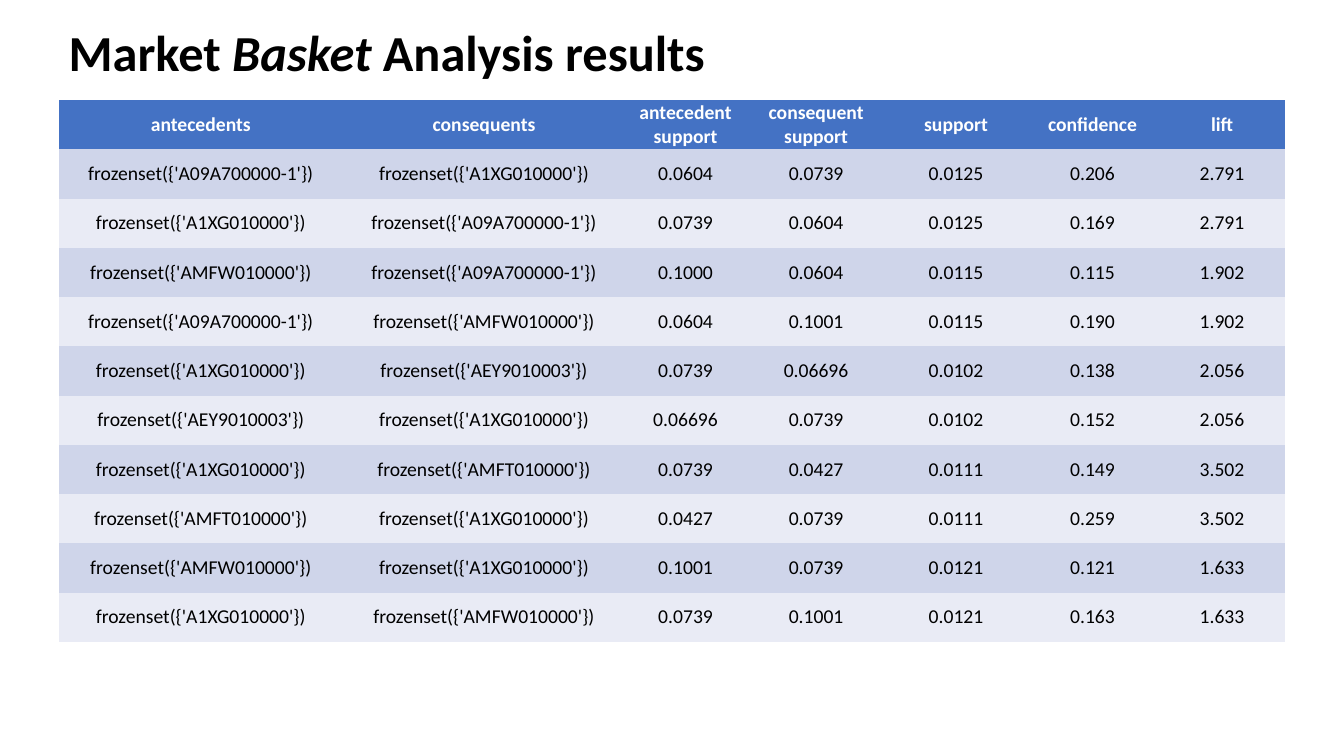
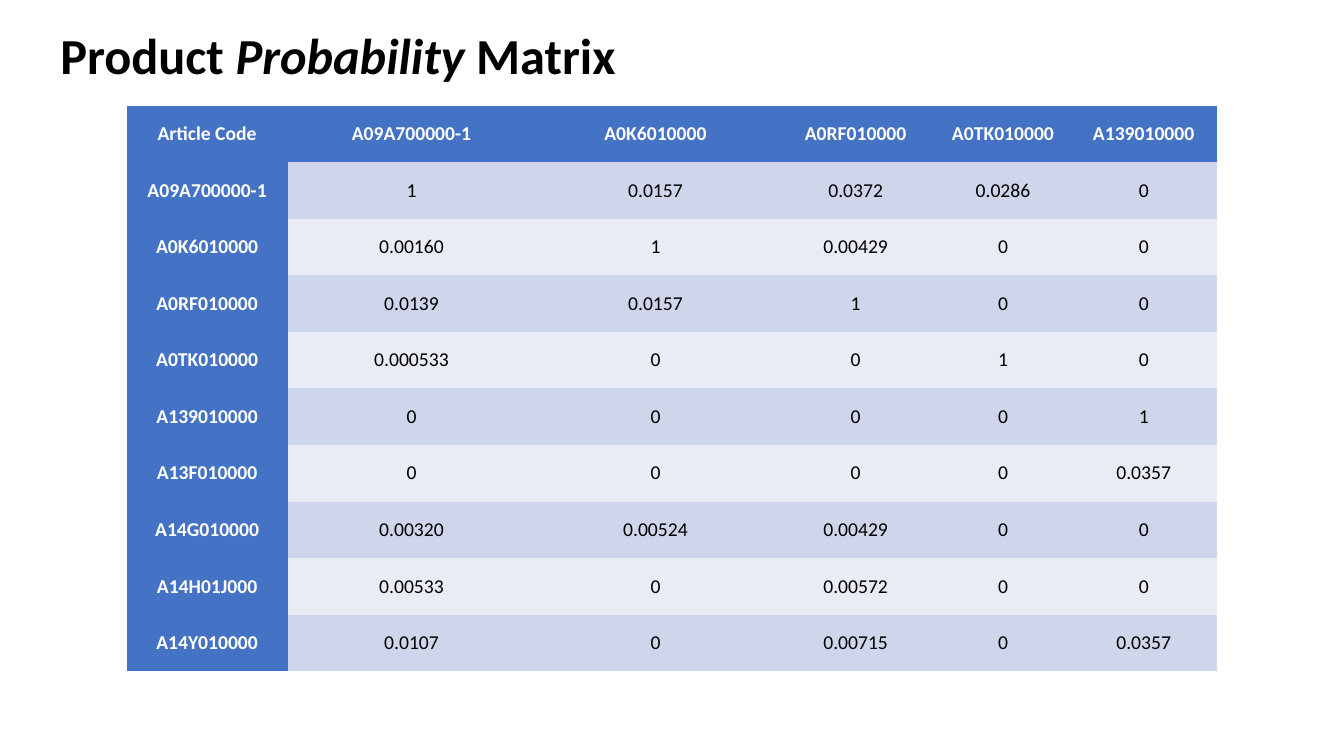
from pptx import Presentation
from pptx.dml.color import RGBColor
from pptx.enum.text import MSO_ANCHOR, PP_ALIGN
from pptx.oxml.ns import qn
from pptx.util import Pt

# Shared style
FONT = "Calibri"
BLACK = RGBColor(0x00, 0x00, 0x00)
WHITE = RGBColor(0xFF, 0xFF, 0xFF)
HEADER_BLUE = RGBColor(0x44, 0x72, 0xC4)
BANDS = (RGBColor(0xCF, 0xD5, 0xEA), RGBColor(0xE9, 0xEB, 0xF5))
TITLE_SIZE, CELL_SIZE = 36, 14
NO_GRID_STYLE = "{2D5ABB26-0587-4C30-8999-92F81FD0307C}"

# Association rules between baskets
RULE_HEADER = ("antecedents", "consequents", "antecedent support",
               "consequent support", "support", "confidence", "lift")
RULES = (
    ("A09A700000-1", "A1XG010000", "0.0604", "0.0739", "0.0125", "0.206", "2.791"),
    ("A1XG010000", "A09A700000-1", "0.0739", "0.0604", "0.0125", "0.169", "2.791"),
    ("AMFW010000", "A09A700000-1", "0.1000", "0.0604", "0.0115", "0.115", "1.902"),
    ("A09A700000-1", "AMFW010000", "0.0604", "0.1001", "0.0115", "0.190", "1.902"),
    ("A1XG010000", "AEY9010003", "0.0739", "0.06696", "0.0102", "0.138", "2.056"),
    ("AEY9010003", "A1XG010000", "0.06696", "0.0739", "0.0102", "0.152", "2.056"),
    ("A1XG010000", "AMFT010000", "0.0739", "0.0427", "0.0111", "0.149", "3.502"),
    ("AMFT010000", "A1XG010000", "0.0427", "0.0739", "0.0111", "0.259", "3.502"),
    ("AMFW010000", "A1XG010000", "0.1001", "0.0739", "0.0121", "0.121", "1.633"),
    ("A1XG010000", "AMFW010000", "0.0739", "0.1001", "0.0121", "0.163", "1.633"),
)
RULE_WIDTHS = (203, 201.5, 86.5, 100, 100, 95, 90)

# Purchase probabilities between articles
MATRIX = (
    ("Article Code", "A09A700000-1", "A0K6010000", "A0RF010000", "A0TK010000", "A139010000"),
    ("A09A700000-1", "1", "0.0157", "0.0372", "0.0286", "0"),
    ("A0K6010000", "0.00160", "1", "0.00429", "0", "0"),
    ("A0RF010000", "0.0139", "0.0157", "1", "0", "0"),
    ("A0TK010000", "0.000533", "0", "0", "1", "0"),
    ("A139010000", "0", "0", "0", "0", "1"),
    ("A13F010000", "0", "0", "0", "0", "0.0357"),
    ("A14G010000", "0.00320", "0.00524", "0.00429", "0", "0"),
    ("A14H01J000", "0.00533", "0", "0.00572", "0", "0"),
    ("A14Y010000", "0.0107", "0", "0.00715", "0", "0.0357"),
)
MATRIX_WIDTHS = (115, 177, 171.5, 114.5, 96, 105)


def style_font(font, size, color, bold):
    font.name = FONT
    font.size = Pt(size)
    font.color.rgb = color
    font.bold = bold


def add_title(slide, words, left, top, width, height):
    """Add a bold title whose middle word is italic."""
    box = slide.shapes.add_textbox(Pt(left), Pt(top), Pt(width), Pt(height))
    frame = box.text_frame
    frame.word_wrap = True
    frame.vertical_anchor = MSO_ANCHOR.MIDDLE
    paragraph = frame.paragraphs[0]
    style_font(paragraph.font, TITLE_SIZE, BLACK, True)
    for index, word in enumerate(words):
        run = paragraph.add_run()
        run.text = word
        run.font.italic = index == 1


def fill_cell(cell, content, fill, is_header):
    cell.fill.solid()
    cell.fill.fore_color.rgb = fill
    cell.vertical_anchor = MSO_ANCHOR.MIDDLE
    cell.margin_left = cell.margin_right = 0
    cell.margin_top = cell.margin_bottom = 0
    cell.text = content
    paragraph = cell.text_frame.paragraphs[0]
    paragraph.alignment = PP_ALIGN.CENTER
    style_font(paragraph.font, CELL_SIZE, WHITE if is_header else BLACK, is_header)


def add_banded_table(slide, rows, widths, left, top, row_height, header_column=False):
    frame = slide.shapes.add_table(len(rows), len(widths), Pt(left), Pt(top),
                                   Pt(sum(widths)), Pt(row_height * len(rows)))
    table = frame.table
    table.first_col = header_column
    table._tbl.tblPr.find(qn("a:tableStyleId")).text = NO_GRID_STYLE
    for column, width in zip(table.columns, widths):
        column.width = Pt(width)
    for row_index, row in enumerate(rows):
        table.rows[row_index].height = Pt(row_height)
        for column_index, content in enumerate(row):
            is_header = row_index == 0 or (header_column and column_index == 0)
            fill = HEADER_BLUE if is_header else BANDS[(row_index - 1) % 2]
            fill_cell(table.cell(row_index, column_index), content, fill, is_header)


def item_set(code):
    return f"frozenset({{'{code}'}})"


def main():
    presentation = Presentation()
    presentation.slide_width = Pt(960)
    presentation.slide_height = Pt(540)
    blank = presentation.slide_layouts[6]

    # Market basket rules
    slide = presentation.slides.add_slide(blank)
    add_title(slide, ("Market ", "Basket", " Analysis results"), 42, 13.5, 515.5, 46)
    rules = [(item_set(antecedent), item_set(consequent), *measures)
             for antecedent, consequent, *measures in RULES]
    add_banded_table(slide, [RULE_HEADER, *rules], RULE_WIDTHS, 42, 71.5, 35.2)

    # Probability matrix
    slide = presentation.slides.add_slide(blank)
    add_title(slide, ("Product ", "Probability", " Matrix"), 36, 9.5, 424, 58.5)
    add_banded_table(slide, MATRIX, MATRIX_WIDTHS, 90.5, 75.5, 40.4, header_column=True)

    presentation.save("out.pptx")


if __name__ == "__main__":
    main()
